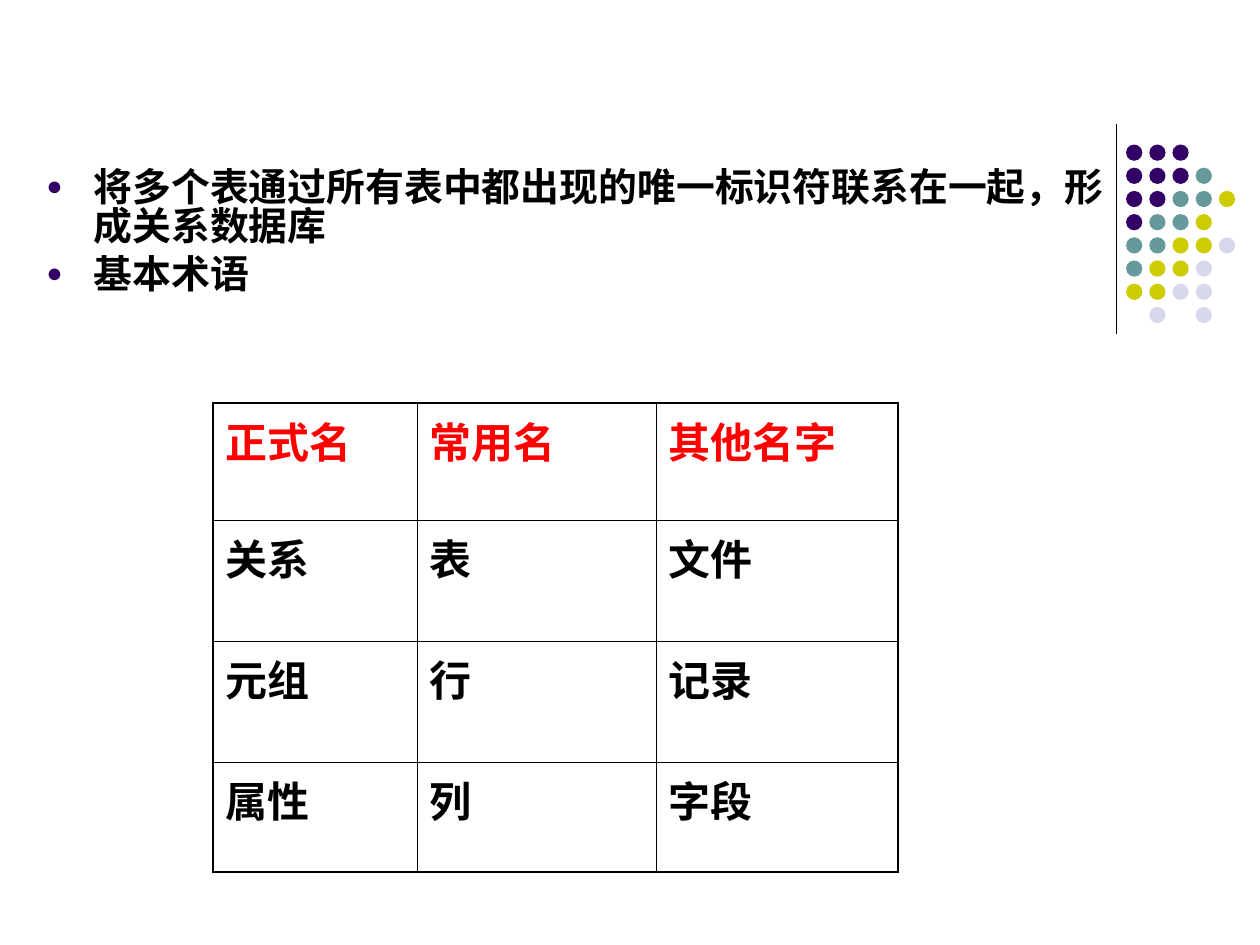
from itertools import product

from lxml.etree import SubElement
from pptx import Presentation
from pptx.dml.color import RGBColor
from pptx.enum.shapes import MSO_CONNECTOR, MSO_SHAPE
from pptx.oxml.ns import qn
from pptx.util import Pt

BULLETS = [
    "将多个表通过所有表中都出现的唯一标识符联系在一起，形成关系数据库",
    "基本术语",
]
TERMS = [
    ("正式名", "常用名", "其他名字"),
    ("关系", "表", "文件"),
    ("元组", "行", "记录"),
    ("属性", "列", "字段"),
]
# One letter per dot: purple, teal, yellow, light; a dot stands for a gap.
DOT_ROWS = ["PPP", "PPPT", "PPTTY", "PTTY", "TTYYL", "TYYL", "YYLL", ".L.L"]

THEME = {
    "font": "Arial",
    "body_size": 22.2,
    "table_size": 24,
    "text": "000000",
    "header": "FF0000",
    "bullet": "330066",
    "dots": {"P": "330066", "T": "669999", "Y": "CCCC00", "L": "D8D8EC"},
    "outer_border": 1.08,
    "inner_border": 0.45,
}

COLUMN_WIDTHS = [116.6, 136.8, 138]
ROW_HEIGHTS = [67, 69.1, 69.1, 62.8]
DOT_LEFT, DOT_TOP, DOT_SIZE, DOT_PITCH = 643.5, 82.6, 9.3, 13.25


def style(para, size, color):
    para.space_before = Pt(6)
    para.font.name = THEME["font"]
    para.font.size = Pt(size)
    para.font.bold = True
    para.font.color.rgb = RGBColor.from_string(color)


def add_bullet(para):
    properties = para._p.get_or_add_pPr()
    properties.set("marL", str(Pt(27)))
    properties.set("indent", str(Pt(-27)))
    color = SubElement(properties, qn("a:buClr"))
    SubElement(color, qn("a:srgbClr"), val=THEME["bullet"])
    SubElement(properties, qn("a:buSzPct"), val="70000")
    SubElement(properties, qn("a:buFont"), typeface=THEME["font"])
    SubElement(properties, qn("a:buChar"), char="●")


def add_borders(cell, row, column):
    """Draw all four sides, heavier along the edge of the table."""
    on_edge = {
        "a:lnL": column == 0,
        "a:lnR": column == len(COLUMN_WIDTHS) - 1,
        "a:lnT": row == 0,
        "a:lnB": row == len(ROW_HEIGHTS) - 1,
    }
    properties = cell._tc.get_or_add_tcPr()
    for side, outer in on_edge.items():
        width = THEME["outer_border" if outer else "inner_border"]
        line = SubElement(properties, qn(side), w=str(Pt(width)))
        fill = SubElement(line, qn("a:solidFill"))
        SubElement(fill, qn("a:srgbClr"), val=THEME["text"])


def add_dot_pattern(page):
    line = page.shapes.add_connector(
        MSO_CONNECTOR.STRAIGHT, Pt(638), Pt(70.6), Pt(638), Pt(190.8))
    line.line.color.rgb = RGBColor.from_string(THEME["text"])
    line.line.width = Pt(0.75)
    SubElement(line._element.spPr, qn("a:effectLst"))

    for row, letters in enumerate(DOT_ROWS):
        for column, letter in enumerate(letters):
            if letter not in THEME["dots"]:
                continue
            dot = page.shapes.add_shape(
                MSO_SHAPE.OVAL,
                Pt(DOT_LEFT + column * DOT_PITCH), Pt(DOT_TOP + row * DOT_PITCH),
                Pt(DOT_SIZE), Pt(DOT_SIZE))
            dot.shadow.inherit = False
            dot.fill.solid()
            dot.fill.fore_color.rgb = RGBColor.from_string(THEME["dots"][letter])
            dot.line.fill.background()


def add_body(page):
    box = page.shapes.add_textbox(Pt(19.4), Pt(94.3), Pt(640), Pt(96.5))
    frame = box.text_frame
    frame.word_wrap = True
    for index, text in enumerate(BULLETS):
        para = frame.add_paragraph() if index else frame.paragraphs[0]
        para.text = text
        para.line_spacing = 0.82
        style(para, THEME["body_size"], THEME["text"])
        add_bullet(para)


def add_terms_table(page):
    table = page.shapes.add_table(
        len(ROW_HEIGHTS), len(COLUMN_WIDTHS), Pt(121.7), Pt(230.4),
        Pt(sum(COLUMN_WIDTHS)), Pt(sum(ROW_HEIGHTS))).table
    for column, width in zip(table.columns, COLUMN_WIDTHS):
        column.width = Pt(width)
    for row, height in zip(table.rows, ROW_HEIGHTS):
        row.height = Pt(height)
    for row, column in product(range(len(ROW_HEIGHTS)), range(len(COLUMN_WIDTHS))):
        cell = table.cell(row, column)
        cell.text = TERMS[row][column]
        style(cell.text_frame.paragraphs[0], THEME["table_size"],
              THEME["text" if row else "header"])
        add_borders(cell, row, column)
        cell.fill.background()


def main():
    deck = Presentation()
    deck.slide_width, deck.slide_height = Pt(720), Pt(540)
    page = deck.slides.add_slide(deck.slide_layouts[6])
    add_dot_pattern(page)
    add_body(page)
    add_terms_table(page)
    deck.save("out.pptx")


if __name__ == "__main__":
    main()
